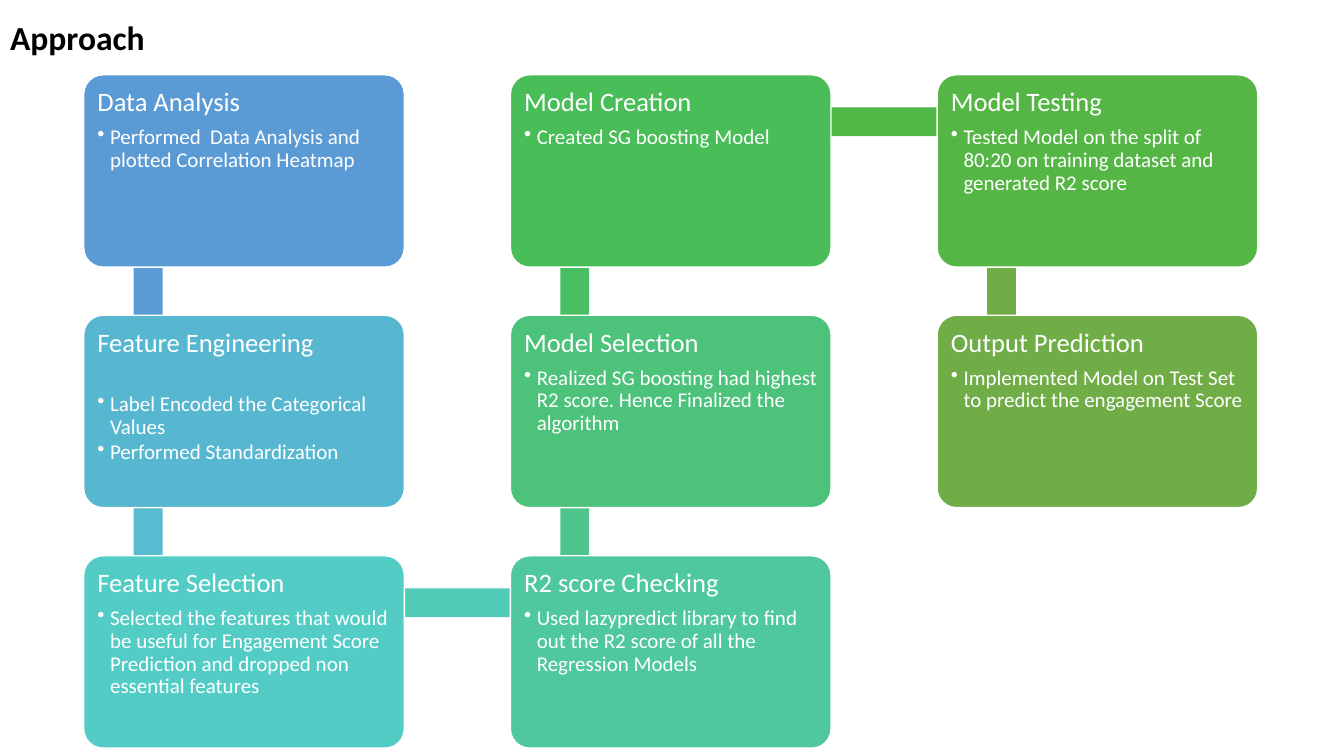
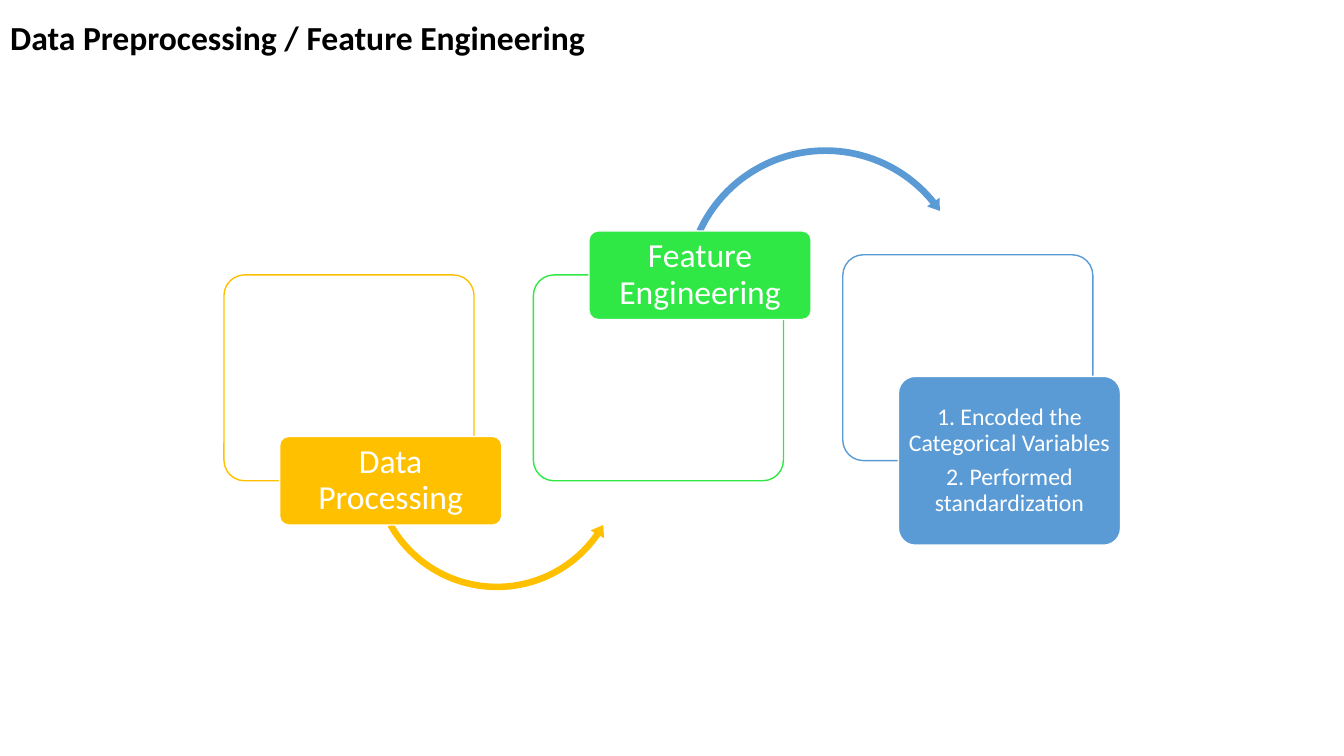
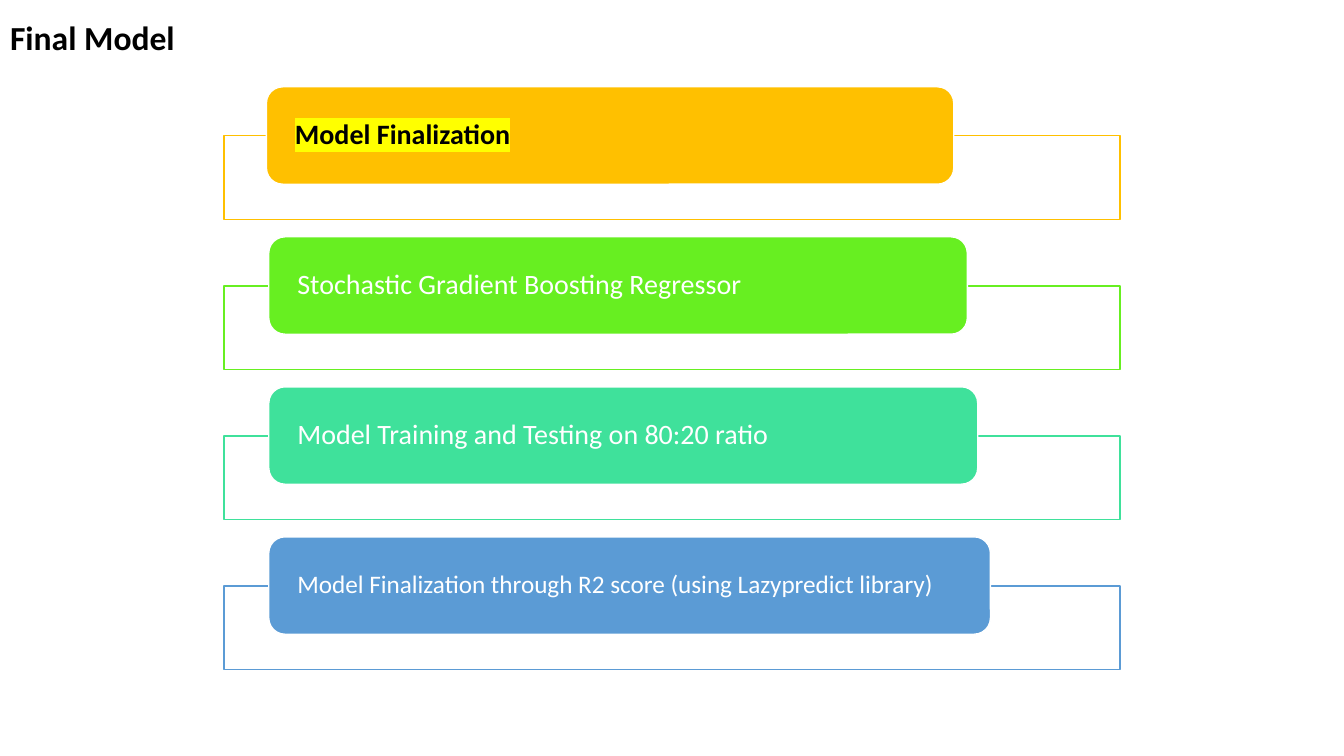
import math
from dataclasses import dataclass
from typing import Optional

import lxml.etree
import pptx
import pptx.dml.color
import pptx.enum.shapes
import pptx.enum.text
import pptx.oxml.ns
import pptx.util

Pt = pptx.util.Pt
RGBColor = pptx.dml.color.RGBColor
SHAPE = pptx.enum.shapes.MSO_SHAPE
ALIGN = pptx.enum.text.PP_ALIGN
ANCHOR = pptx.enum.text.MSO_ANCHOR
qn = pptx.oxml.ns.qn

FONT = "Calibri"
BLACK = RGBColor(0x00, 0x00, 0x00)
WHITE = RGBColor(0xFF, 0xFF, 0xFF)
BLUE = RGBColor(0x5B, 0x9B, 0xD5)
AMBER = RGBColor(0xFF, 0xC0, 0x00)
GREEN = RGBColor(0x30, 0xE8, 0x45)
LIME = RGBColor(0x67, 0xEF, 0x21)
MINT = RGBColor(0x3F, 0xE1, 0x9B)
OLIVE = RGBColor(0x70, 0xAD, 0x47)
HIGHLIGHT = "FFFF00"


@dataclass
class Box:
    left: float
    top: float
    width: float
    height: float


@dataclass
class Step:
    col: int
    row: int
    color: RGBColor
    bar_color: Optional[RGBColor]
    heading: str
    bullets: list[str]
    gap: float = 0


@dataclass
class Arrow:
    kind: SHAPE
    box: Box
    adjustments: list[float]


@dataclass
class Stage:
    frame_top: float
    label_top: float
    label_height: float
    color: RGBColor
    size: float
    margins: tuple[float, float]
    lines: list[str]
    arrow: Optional[Arrow] = None


@dataclass
class Row:
    label_left: float
    label_width: float
    color: RGBColor
    size: float
    text: str
    highlighted: bool = False


def add_slide(prs, title: str):
    s = prs.slides.add_slide(prs.slide_layouts.get_by_name("Title Only"))
    sp = s.shapes.title
    sp.left, sp.top, sp.width, sp.height = Pt(0), Pt(18), Pt(828), Pt(20.2)
    tf = sp.text_frame
    tf.word_wrap = True
    tf.auto_size = pptx.enum.text.MSO_AUTO_SIZE.NONE
    tf.vertical_anchor = ANCHOR.MIDDLE
    add_text(tf, title, 24, BLACK, bold=True)
    return s


def add_shape(s, kind: SHAPE, box: Box, fill: RGBColor,
              line: Optional[RGBColor] = None, adj: Optional[list[float]] = None):
    sp = s.shapes.add_shape(kind, Pt(box.left), Pt(box.top), Pt(box.width), Pt(box.height))
    sp.shadow.inherit = False
    sp.fill.solid()
    sp.fill.fore_color.rgb = fill
    if line is None:
        sp.line.fill.background()
    else:
        sp.line.color.rgb = line
        sp.line.width = Pt(1)
    for i, value in enumerate(adj or []):
        sp.adjustments[i] = value
    return sp


def add_frame(s, kind: SHAPE, box: Box, color: RGBColor, adj: Optional[list[float]] = None) -> None:
    sp = add_shape(s, kind, box, WHITE, color, adj)
    clr = sp.fill._xPr.find(qn("a:solidFill")).find(qn("a:srgbClr"))
    lxml.etree.SubElement(clr, qn("a:alpha")).set("val", "90000")


def set_frame(sp, anchor: ANCHOR, side: float, end: float):
    tf = sp.text_frame
    tf.word_wrap = True
    tf.vertical_anchor = anchor
    tf.margin_left = tf.margin_right = Pt(side)
    tf.margin_top = tf.margin_bottom = Pt(end)
    return tf


def add_text(tf, text: str, size: float, color: RGBColor = WHITE, bold: bool = False,
             align: ALIGN = ALIGN.LEFT, after: float = 0):
    p = tf.paragraphs[0]
    if p.runs:
        p = tf.add_paragraph()
    p.alignment = align
    p.line_spacing = 0.9
    p.space_before = Pt(0)
    p.space_after = Pt(round(size * after, 2))
    r = p.add_run()
    r.text = text
    r.font.name = FONT
    r.font.size = Pt(size)
    r.font.bold = bold
    r.font.color.rgb = color
    return p


def add_bullet(tf, text: str, gap: float) -> None:
    p = add_text(tf, text, 15, after=0.15)
    p.level = 1
    p.space_before = Pt(gap)
    pPr = p._p.get_or_add_pPr()
    pPr.set("marL", str(Pt(9)))
    pPr.set("indent", str(-Pt(9)))
    lxml.etree.SubElement(pPr, qn("a:buChar")).set("char", "•")


def highlight(r) -> None:
    mark = lxml.etree.Element(qn("a:highlight"))
    lxml.etree.SubElement(mark, qn("a:srgbClr")).set("val", HIGHLIGHT)
    r._r.rPr.find(qn("a:solidFill")).addnext(mark)


def step_box(step: Step) -> Box:
    return Box(59.8 + 304.8 * step.col, 53.4 + 171.8 * step.row, 229, 137.4)


def add_bar(s, start: Step, end: Step) -> None:
    a, b = step_box(start), step_box(end)
    dx, dy = b.left - a.left, b.top - a.top
    length, thickness = math.hypot(dx, dy), 20.6
    x, y = a.left + 46 + dx / 2, a.top + 33.6 + dy / 2
    bar = Box(x - length / 2, y - thickness / 2, length, thickness)
    sp = add_shape(s, SHAPE.RECTANGLE, bar, start.bar_color)
    sp.rotation = math.degrees(math.atan2(dy, dx)) % 360


def add_step(s, step: Step) -> None:
    sp = add_shape(s, SHAPE.ROUNDED_RECTANGLE, step_box(step), step.color, WHITE, [0.1])
    tf = set_frame(sp, ANCHOR.TOP, 5.8, 5.8)
    add_text(tf, step.heading, 19, after=0.35)
    for i, text in enumerate(step.bullets):
        add_bullet(tf, text, 0 if i else step.gap)


def add_stage(s, i: int, stage: Stage) -> None:
    left = 160 + 221 * i
    add_frame(s, SHAPE.ROUNDED_RECTANGLE, Box(left, stage.frame_top, 178.6, 147),
              stage.color, [0.1])
    if stage.arrow:
        arrow = stage.arrow
        color = AMBER if i == 0 else BLUE
        add_shape(s, arrow.kind, arrow.box, color, adj=arrow.adjustments)
    sp = add_shape(s, SHAPE.ROUNDED_RECTANGLE,
                   Box(left + 39.7, stage.label_top, 158.7, stage.label_height),
                   stage.color, WHITE, [0.1])
    tf = set_frame(sp, ANCHOR.MIDDLE, *stage.margins)
    for text in stage.lines:
        add_text(tf, text, stage.size, align=ALIGN.CENTER, after=0.35)


def add_row(s, i: int, row: Row) -> None:
    top = 62 + 107.15 * i
    add_frame(s, SHAPE.RECTANGLE, Box(160, top + 35, 640, 59.6), row.color)
    sp = add_shape(s, SHAPE.ROUNDED_RECTANGLE,
                   Box(row.label_left, top, row.label_width, 69.6), row.color, WHITE)
    tf = set_frame(sp, ANCHOR.MIDDLE, 17, 0)
    color = BLACK if row.highlighted else WHITE
    p = add_text(tf, row.text, row.size, color, row.highlighted, after=0.35)
    if row.highlighted:
        highlight(p.runs[0])


STEPS = [
    Step(0, 0, BLUE, BLUE, "Data Analysis",
         ["Performed  Data Analysis and plotted Correlation Heatmap"]),
    Step(0, 1, RGBColor(0x57, 0xB7, 0xD1), RGBColor(0x56, 0xBC, 0xD0), "Feature Engineering",
         ["Label Encoded the Categorical Values", "Performed Standardization"], gap=18.7),
    Step(0, 2, RGBColor(0x53, 0xCC, 0xC5), RGBColor(0x52, 0xCA, 0xB8), "Feature Selection",
         ["Selected the features that would be useful for Engagement Score "
          "Prediction and dropped non essential features"]),
    Step(1, 2, RGBColor(0x4F, 0xC7, 0xA0), RGBColor(0x4D, 0xC5, 0x8D), "R2 score Checking",
         ["Used lazypredict library to find out the R2 score of all the Regression Models"]),
    Step(1, 1, RGBColor(0x4C, 0xC2, 0x7B), RGBColor(0x49, 0xBF, 0x64), "Model Selection",
         ["Realized SG boosting had highest R2 score. Hence Finalized the algorithm"]),
    Step(1, 0, RGBColor(0x48, 0xBD, 0x58), RGBColor(0x50, 0xB8, 0x46), "Model Creation",
         ["Created SG boosting Model"]),
    Step(2, 0, RGBColor(0x55, 0xB6, 0x46), OLIVE, "Model Testing",
         ["Tested Model on the split of 80:20 on training dataset and generated R2 score"]),
    Step(2, 1, OLIVE, None, "Output Prediction",
         ["Implemented Model on Test Set to predict the engagement Score"]),
]

STAGES = [
    Stage(196.4, 311.8, 63.2, AMBER, 24, (3.6, 2.4), ["Data Processing"],
          Arrow(SHAPE.LEFT_CIRCULAR_ARROW, Box(262, 239, 185.8, 185.8),
                [0.025, 3.094, 20.849, 90.245, 0.03])),
    Stage(196.4, 165, 63.2, GREEN, 24, (3.6, 2.4), ["Feature Engineering"],
          Arrow(SHAPE.CIRCULAR_ARROW, Box(485.3, 102.2, 208.8, 208.8),
                [0.023, 2.728, 192.648, 122.887, 0.026])),
    Stage(182, 268.8, 120.6, BLUE, 17, (2.6, 1.7),
          ["1. Encoded the Categorical Variables", "2. Performed standardization"]),
]

ROWS = [
    Row(190.3, 491, AMBER, 20, "Model Finalization", highlighted=True),
    Row(192, 499, LIME, 20, "Stochastic Gradient Boosting Regressor"),
    Row(192, 506.4, MINT, 20, "Model Training and Testing on 80:20 ratio"),
    Row(192, 515.5, BLUE, 18, "Model Finalization through R2 score (using Lazypredict library)"),
]

prs = pptx.Presentation()
prs.slide_width, prs.slide_height = Pt(960), Pt(540)

s = add_slide(prs, "Approach")
for i, step in enumerate(STEPS):
    if step.bar_color:
        add_bar(s, step, STEPS[i + 1])
    add_step(s, step)

s = add_slide(prs, "Data Preprocessing / Feature Engineering")
for i, stage in enumerate(STAGES):
    add_stage(s, i, stage)

s = add_slide(prs, "Final Model")
for i, row in enumerate(ROWS):
    add_row(s, i, row)

prs.save("out.pptx")
